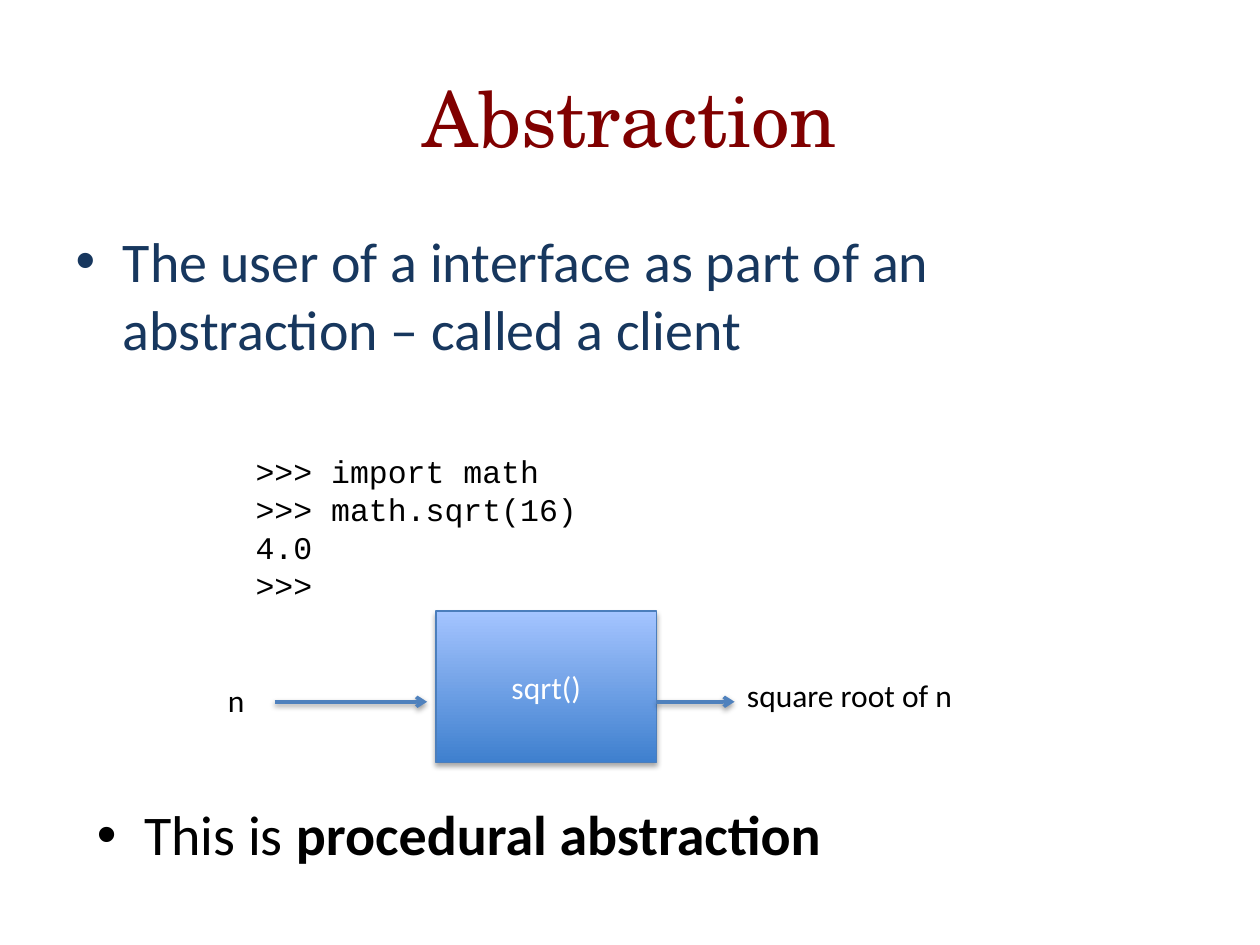
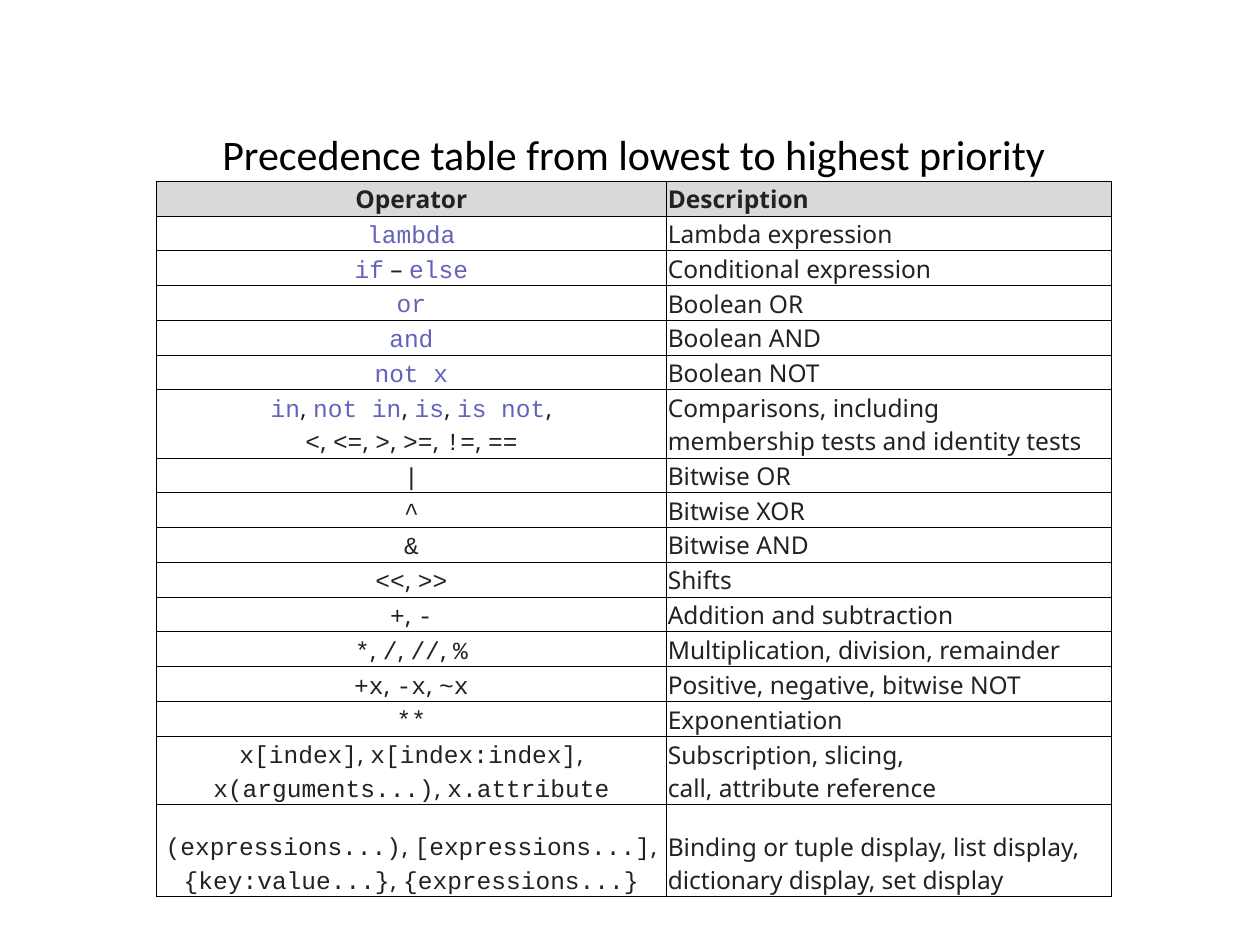
from copy import deepcopy
from dataclasses import dataclass
from typing import NamedTuple

from lxml.etree import SubElement
from pptx import Presentation
from pptx.dml.color import RGBColor
from pptx.enum.shapes import MSO_CONNECTOR, MSO_SHAPE
from pptx.enum.text import MSO_ANCHOR, MSO_AUTO_SIZE, PP_ALIGN
from pptx.oxml.ns import qn
from pptx.util import Inches, Pt

# The grid has 100 columns and 75 rows, each a tenth of an inch.
COLUMNS, ROWS = 100, 75

BLACK, WHITE = "000000", "FFFFFF"
MAROON, NAVY = "800000", "17375E"
ARROW_BLUE, BOX_LINE = "4F81BD", "4B7EBC"
BOX_GRADIENT = ("3F80CE", "A4C4FF")
TABLE_TEXT, KEYWORD, HEADER_FILL = "222222", "6363BB", "D9D9D9"


class Style(NamedTuple):
    name: str
    size: int
    color: str
    bold: bool = False


TITLE = Style("TeX Gyre Schola", 44, MAROON)
CLIENT_POINT = Style("Calibri", 32, NAVY)
POINT = Style("Calibri", 32, BLACK)
POINT_BOLD = POINT._replace(bold=True)
LABEL = Style("Calibri", 18, BLACK)
BOX_LABEL = LABEL._replace(color=WHITE)
SESSION = Style("Courier New", 18, BLACK)
CAPTION = Style("Calibri", 24, BLACK)
CELL = Style("Noto Sans", 14, TABLE_TEXT)
CELL_HEADER = CELL._replace(bold=True)
CELL_CODE = Style("Courier New", 14, TABLE_TEXT)
CELL_KEYWORD = CELL_CODE._replace(color=KEYWORD)

Spans = list[tuple[str, Style]]


@dataclass(frozen=True)
class Area:
    left: float
    top: float
    width: float
    height: float

    def lengths(self) -> tuple:
        return tuple(grid(v) for v in (self.left, self.top, self.width, self.height))


@dataclass(frozen=True)
class TextItem:
    area: Area
    lines: tuple[str, ...]
    style: Style
    wrap: bool = False


@dataclass(frozen=True)
class Arrow:
    start: float
    end: float
    row: float


@dataclass(frozen=True)
class Precedence:
    operators: str
    description: str
    height: float = 2.5


SQRT_BOX = Area(34.6, 48.5, 17.5, 12)
TEXT_ITEMS = (
    TextItem(Area(17.1, 53.6, 3.3, 4), ("n",), LABEL),
    TextItem(Area(58.3, 53.2, 18.5, 4), ("square root of n",), LABEL),
    TextItem(Area(19.3, 35.4, 28.7, 13.1),
             (">>> import math", ">>> math.sqrt(16)", "4.0", ">>>"), SESSION, wrap=True),
)
ARROWS = (Arrow(21.8, 33.9, 55.7), Arrow(52.1, 58.3, 55.7))

TABLE_AREA = Area(12.4, 10.1, 75.8, 57.2)
TABLE_COLUMNS = (40.5, 35.3)
CAPTION_HEIGHT, HEADER_HEIGHT = 4.3, 2.5
PRECEDENCES = (
    Precedence("lambda", "Lambda expression"),
    Precedence("if – else", "Conditional expression"),
    Precedence("or", "Boolean OR"),
    Precedence("and", "Boolean AND"),
    Precedence("not x", "Boolean NOT"),
    Precedence("in, not in, is, is not,\n<, <=, >, >=, !=, ==",
               "Comparisons, including\nmembership tests and identity tests", 5.1),
    Precedence("|", "Bitwise OR"),
    Precedence("^", "Bitwise XOR"),
    Precedence("&", "Bitwise AND"),
    Precedence("<<, >>", "Shifts"),
    Precedence("+, -", "Addition and subtraction"),
    Precedence("*, /, //, %", "Multiplication, division, remainder"),
    Precedence("+x, -x, ~x", "Positive, negative, bitwise NOT"),
    Precedence("**", "Exponentiation"),
    Precedence("x[index], x[index:index],\nx(arguments...), x.attribute",
               "Subscription, slicing,\ncall, attribute reference", 5.1),
    Precedence("(expressions...), [expressions...],\n{key:value...}, {expressions...}",
               "Binding or tuple display, list display,\ndictionary display, set display", 7.3),
)


def grid(units: float):
    return Inches(units / 10)


def rgb(value: str) -> RGBColor:
    return RGBColor.from_string(value)


def set_attributes(target, **values) -> None:
    for name, value in values.items():
        setattr(target, name, value)


def write(para, spans: Spans, align=PP_ALIGN.LEFT) -> None:
    """Fill a paragraph with styled spans; a newline becomes a line break."""
    para.alignment = align
    for text, style in spans:
        for index, part in enumerate(text.split("\n")):
            if index:
                para.add_line_break()
                line_break = para._p.findall(qn("a:br"))[-1]
            span = para.add_run()
            span.text = part
            set_attributes(span.font, name=style.name, size=Pt(style.size), bold=style.bold)
            span.font.color.rgb = rgb(style.color)
            if index:
                line_break.insert(0, deepcopy(span._r.rPr))


def add_bullet(para) -> None:
    properties = para._p.get_or_add_pPr()
    indent = Inches(0.375)
    properties.set("marL", str(indent))
    properties.set("indent", str(-indent))
    spacing = SubElement(properties, qn("a:spcBef"))
    SubElement(spacing, qn("a:spcPct"), val="20000")
    SubElement(properties, qn("a:buFont"), typeface="Arial")
    SubElement(properties, qn("a:buChar"), char="•")


def add_shadow(shape, opacity: int, distance: float) -> None:
    effects = SubElement(shape._element.spPr, qn("a:effectLst"))
    shadow = SubElement(effects, qn("a:outerShdw"), blurRad=str(Pt(3.1)),
                        dist=str(Pt(distance)), dir="5400000", rotWithShape="0")
    color = SubElement(shadow, qn("a:srgbClr"), val=BLACK)
    SubElement(color, qn("a:alpha"), val=str(opacity * 1000))


def place(shape, area: Area) -> None:
    set_attributes(shape, **dict(zip(("left", "top", "width", "height"), area.lengths())))


def add_text(page, item: TextItem) -> None:
    frame = page.shapes.add_textbox(*item.area.lengths()).text_frame
    set_attributes(frame, word_wrap=item.wrap, auto_size=MSO_AUTO_SIZE.SHAPE_TO_FIT_TEXT)
    for index, line in enumerate(item.lines):
        para = frame.add_paragraph() if index else frame.paragraphs[0]
        write(para, [(line, item.style)])


def add_sqrt_box(page) -> None:
    box = page.shapes.add_shape(MSO_SHAPE.RECTANGLE, *SQRT_BOX.lengths())
    box.fill.gradient()
    box.fill.gradient_angle = 90
    for stop, color in zip(box.fill.gradient_stops, BOX_GRADIENT):
        stop.color.rgb = rgb(color)
    box.line.color.rgb = rgb(BOX_LINE)
    box.line.width = Pt(0.75)
    add_shadow(box, 35, 1.8)
    box.text_frame.vertical_anchor = MSO_ANCHOR.MIDDLE
    write(box.text_frame.paragraphs[0], [("sqrt()", BOX_LABEL)], PP_ALIGN.CENTER)


def add_arrow(page, arrow: Arrow) -> None:
    row = grid(arrow.row)
    line = page.shapes.add_connector(
        MSO_CONNECTOR.STRAIGHT, grid(arrow.start), row, grid(arrow.end), row)
    line.line.color.rgb = rgb(ARROW_BLUE)
    line.line.width = Pt(2)
    SubElement(line.line._get_or_add_ln(), qn("a:tailEnd"), type="arrow")
    add_shadow(line, 38, 1.6)


def build_abstraction(deck) -> None:
    page = deck.slides.add_slide(deck.slide_layouts[1])
    title, body = page.placeholders
    place(title, Area(5, 3, 90, 12.5))
    write(title.text_frame.paragraphs[0], [("Abstraction", TITLE)], PP_ALIGN.CENTER)

    place(body, Area(5, 17.5, 90, 13.7))
    conclusion = page.shapes.add_textbox(*Area(6.7, 63, 90, 10.4).lengths())
    conclusion.text_frame.word_wrap = True
    points = (
        (body, [("The user of a interface as part of an abstraction – called a client",
                 CLIENT_POINT)]),
        (conclusion, [("This is ", POINT), ("procedural abstraction", POINT_BOLD)]),
    )
    for box, spans in points:
        para = box.text_frame.paragraphs[0]
        write(para, spans)
        add_bullet(para)

    add_sqrt_box(page)
    for arrow in ARROWS:
        add_arrow(page, arrow)
    for item in TEXT_ITEMS:
        add_text(page, item)


def operator_spans(operators: str) -> Spans:
    """Style operators as code, words among them as keywords, and separators as text."""
    separator = " – " if " – " in operators else ", "
    spans: Spans = []
    for line_index, line in enumerate(operators.split(",\n")):
        if line_index:
            spans.append((",\n", CELL))
        for index, token in enumerate(line.split(separator)):
            if index:
                spans.append((separator, CELL))
            is_keyword = token.replace(" ", "").isalpha()
            spans.append((token, CELL_KEYWORD if is_keyword else CELL_CODE))
    return spans


def add_borders(cell, sides: str) -> None:
    for side in sides:
        line = SubElement(cell._tc.get_or_add_tcPr(), qn(f"a:ln{side}"), w=str(Pt(0.5)))
        fill = SubElement(line, qn("a:solidFill"))
        SubElement(fill, qn("a:srgbClr"), val=BLACK)


def fill_cell(cell, spans: Spans, align, sides: str = "LRTB", fill: str = "") -> None:
    add_borders(cell, sides)
    if fill:
        cell.fill.solid()
        cell.fill.fore_color.rgb = rgb(fill)
    else:
        cell.fill.background()
    edge = grid(0.1)
    set_attributes(cell, vertical_anchor=MSO_ANCHOR.BOTTOM, margin_left=edge,
                   margin_right=edge, margin_top=edge, margin_bottom=0)
    write(cell.text_frame.paragraphs[0], spans, align)


def build_precedence(deck) -> None:
    page = deck.slides.add_slide(deck.slide_layouts[6])
    heights = (CAPTION_HEIGHT, HEADER_HEIGHT, *(entry.height for entry in PRECEDENCES))
    table = page.shapes.add_table(
        len(heights), len(TABLE_COLUMNS), *TABLE_AREA.lengths()).table
    set_attributes(table, first_row=False, horz_banding=False)
    for column, width in zip(table.columns, TABLE_COLUMNS):
        column.width = grid(width)
    for row, height in zip(table.rows, heights):
        row.height = grid(height)

    caption = table.cell(0, 0)
    caption.merge(table.cell(0, 1))
    fill_cell(caption, [("Precedence table from lowest to highest priority", CAPTION)],
              PP_ALIGN.CENTER, sides="B")
    fill_cell(table.cell(0, 1), [], PP_ALIGN.LEFT, sides="B")

    contents = [([("Operator", CELL_HEADER)], [("Description", CELL_HEADER)], HEADER_FILL)]
    contents += [(operator_spans(entry.operators), [(entry.description, CELL)], "")
                 for entry in PRECEDENCES]
    for row, (operators, description, fill) in enumerate(contents, start=1):
        fill_cell(table.cell(row, 0), operators, PP_ALIGN.CENTER, fill=fill)
        fill_cell(table.cell(row, 1), description, PP_ALIGN.LEFT, fill=fill)


def main() -> None:
    deck = Presentation()
    set_attributes(deck, slide_width=grid(COLUMNS), slide_height=grid(ROWS))
    build_abstraction(deck)
    build_precedence(deck)
    deck.save("out.pptx")


if __name__ == "__main__":
    main()
